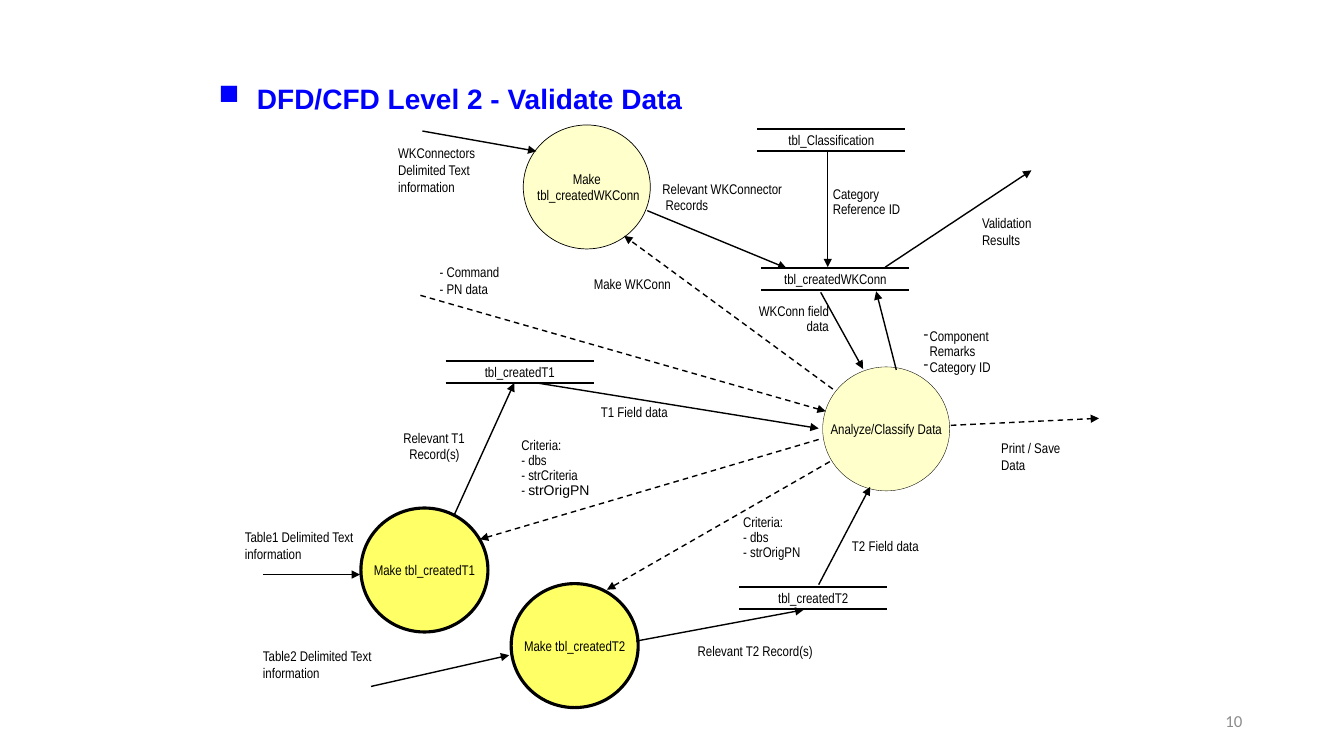
from lxml.etree import SubElement
from pptx import Presentation
from pptx.dml.color import RGBColor
from pptx.enum.dml import MSO_LINE
from pptx.enum.shapes import MSO_CONNECTOR, MSO_SHAPE
from pptx.enum.text import MSO_ANCHOR, PP_ALIGN
from pptx.oxml.ns import qn
from pptx.util import Inches, Pt

HEX = {"ink": "000000", "title": "0000FF", "page": "8C8C8C",
       "pale": "FFFFCC", "bright": "FFFF66"}
RGB = {name: RGBColor.from_string(code) for name, code in HEX.items()}
LEFT, MID, RIGHT = PP_ALIGN.LEFT, PP_ALIGN.CENTER, PP_ALIGN.RIGHT

deck = Presentation()
deck.slide_width, deck.slide_height = Inches(13.33), Inches(7.5)
slide = deck.slides.add_slide(deck.slide_layouts[6])
shapes = slide.shapes


def write(shape, text, align=LEFT, hang=0, mark="", side=0.1, wrap=True,
          font="Arial Narrow", size=10, color="ink", bold=False):
    frame = shape.text_frame
    frame.word_wrap = wrap
    frame.vertical_anchor = MSO_ANCHOR.MIDDLE
    frame.margin_left = frame.margin_right = Inches(side)
    frame.text = text
    for para in frame.paragraphs:
        para.alignment = align
        para.font.name, para.font.size = font, Pt(size)
        para.font.bold = bold
        para.font.color.rgb = RGB[color]
        if hang:
            props = para._p.get_or_add_pPr()
            props.set("marL", str(Inches(hang)))
            props.set("indent", str(-Inches(hang)))
            if mark:
                bullet = props.makeelement(qn("a:buChar"), {"char": mark})
                props.insert(0, bullet)
            if hang < 0.1:
                para.line_spacing = 0.9
    return frame


def draw(x1, y1, x2, y2, width=1, dash=False, arrow=True):
    line = shapes.add_connector(MSO_CONNECTOR.STRAIGHT, Inches(x1), Inches(y1),
                                Inches(x2), Inches(y2))
    line.line.color.rgb = RGB["ink"]
    line.line.width = Pt(width)
    if dash:
        line.line.dash_style = MSO_LINE.DASH
    if arrow:
        SubElement(line.line._get_or_add_ln(), qn("a:tailEnd"), type="triangle")
    SubElement(line._element.spPr, qn("a:effectLst"))


page = shapes.add_textbox(Inches(9.42), Inches(6.95), Inches(3), Inches(0.4))
write(page, "10", RIGHT, font="Calibri", size=12, color="page")
title = shapes.add_textbox(Inches(2.07), Inches(0.76), Inches(4.8), Inches(0.43))
write(title, "DFD/CFD Level 2 - Validate Data", hang=0.38, mark="■",
      wrap=False, font="Arial", size=20, color="title", bold=True)

bubbles = [
    (5.19, 1.24, "pale", 0.5, "Make\n tbl_createdWKConn"),
    (8.16, 3.64, "pale", 0.25, "Analyze/Classify Data"),
    (3.58, 5.04, "bright", 2.25, "Make tbl_createdT1"),
    (5.07, 5.79, "bright", 2.25, "Make tbl_createdT2"),
]
for x, y, fill, width, text in bubbles:
    bubble = shapes.add_shape(MSO_SHAPE.OVAL, Inches(x), Inches(y),
                              Inches(1.26), Inches(1.23))
    bubble.shadow.inherit = False
    bubble.fill.solid()
    bubble.fill.fore_color.rgb = RGB[fill]
    bubble.line.color.rgb = RGB["ink"]
    bubble.line.width = Pt(width)
    write(bubble, text, MID, wrap=False)

stores = [
    (7.51, 1.28, "tbl_Classification"),
    (7.55, 2.66, "tbl_createdWKConn"),
    (4.42, 3.58, "tbl_createdT1"),
    (7.33, 5.82, "tbl_createdT2"),
]
for x, y, text in stores:
    for edge in (y, y + 0.22):
        draw(x, edge, x + 1.47, edge, width=1.5, arrow=False)
    store = shapes.add_textbox(Inches(x), Inches(y), Inches(1.47), Inches(0.22))
    write(store, text, MID, side=0.03)

data = [
    (4.19, 1.3, 5.32, 1.5),
    (8.78, 2.65, 10.23, 1.69),
    (3.68, 6.81, 5.05, 6.5),
    (2.61, 5.7, 3.57, 5.7),
    (5.33, 3.8, 8.12, 4.25),
    (8.12, 5.8, 8.63, 4.83),
    (8.14, 2.9, 8.56, 3.66),
    (8.89, 3.67, 8.69, 2.89),
    (8.21, 1.5, 8.21, 2.65),
    (6.42, 2.09, 7.8, 2.66),
    (4.5, 5.12, 5.1, 3.8),
    (6.31, 6.36, 7.97, 6.05),
]
control = [
    (8.12, 4.36, 4.76, 5.35),
    (8.23, 4.58, 6.02, 5.85),
    (4.17, 2.93, 8.19, 4.08),
    (8.26, 3.86, 6.19, 2.34),
    (9.43, 4.22, 10.9, 4.15),
]
for flow in data:
    draw(*flow)
for flow in control:
    draw(*flow, dash=True)

plain = {"side": 0.03}
tight = {"side": 0.03, "hang": 0.06}
labels = [
    (2.33, 5.15, 1.4, 0.53, "Table1 Delimited Text\ninformation", {}),
    (2.51, 6.33, 1.86, 0.53, "Table2 Delimited Text\ninformation", {}),
    (3.85, 1.37, 1.01, 0.63, "WKConnectors Delimited Text\ninformation", {}),
    (9.71, 2.1, 0.88, 0.4, "Validation Results", plain),
    (4.33, 2.58, 0.88, 0.4, "- Command\n- PN data", plain),
    (9.9, 4.33, 0.88, 0.4, "Print / Save\nData", plain),
    (6.54, 1.68, 1.4, 0.57, "Relevant WKConnector\n Records", tight),
    (8.23, 1.83, 1.02, 0.35, "Category\nReference ID", tight),
    (9.13, 3.32, 1.13, 0.35, "Component Remarks\nCategory ID", {**tight, "mark": "-"}),
    (5.86, 2.65, 1.18, 0.35, "Make WKConn", tight),
    (7.34, 4.97, 0.82, 0.74, "Criteria:\n- dbs\n- strOrigPN", tight),
    (3.97, 4.26, 1.18, 0.35, "Relevant T1 Record(s)", tight),
    (6.89, 6.29, 1.44, 0.35, "Relevant T2 Record(s)", tight),
    (8.42, 5.25, 1.08, 0.35, "T2 Field data", tight),
    (5.93, 3.92, 1.2, 0.35, "T1 Field data", tight),
    (7.43, 2.99, 0.82, 0.35, "WKConn field data", {**tight, "align": RIGHT}),
    (5.14, 4.35, 0.82, 0.6, "Criteria:\n- dbs\n- strCriteria\n- ", tight),
]
for x, y, w, h, text, style in labels:
    label = shapes.add_textbox(Inches(x), Inches(y), Inches(w), Inches(h))
    frame = write(label, text, **style)
    if text.endswith("- "):
        tail = frame.paragraphs[-1].add_run()
        tail.text = "strOrigPN"
        tail.font.name = "Arial"

deck.save("out.pptx")
